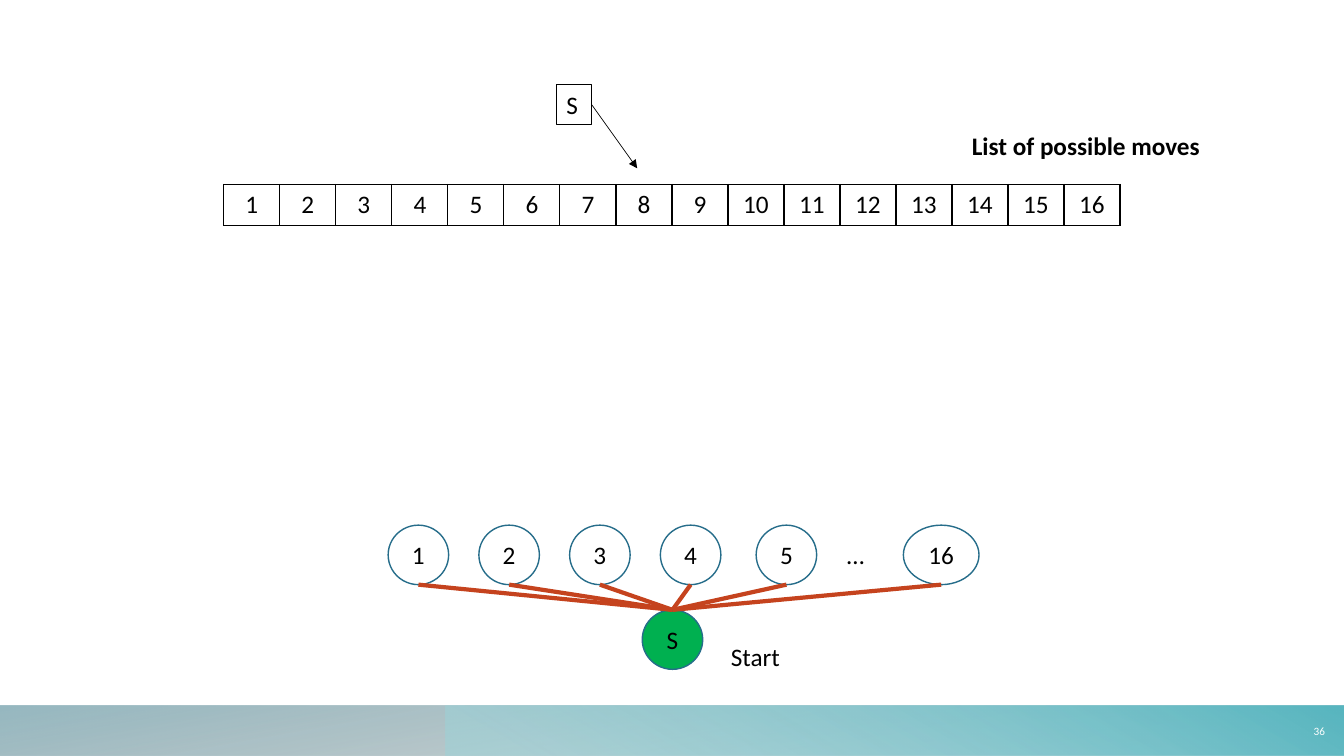
from lxml import etree
from pptx import Presentation
from pptx.dml.color import RGBColor
from pptx.enum.shapes import MSO_CONNECTOR, MSO_SHAPE
from pptx.enum.text import MSO_ANCHOR, MSO_AUTO_SIZE, PP_ALIGN
from pptx.oxml.ns import qn
from pptx.util import Inches, Pt

STRAIGHT = MSO_CONNECTOR.STRAIGHT
RECTANGLE, OVAL = MSO_SHAPE.RECTANGLE, MSO_SHAPE.OVAL
MIDDLE, TOP = MSO_ANCHOR.MIDDLE, MSO_ANCHOR.TOP
LEFT, CENTER, RIGHT = PP_ALIGN.LEFT, PP_ALIGN.CENTER, PP_ALIGN.RIGHT
FIT_SHAPE = MSO_AUTO_SIZE.SHAPE_TO_FIT_TEXT

BLACK = RGBColor(0x00, 0x00, 0x00)
WHITE = RGBColor(0xFF, 0xFF, 0xFF)
GREEN = RGBColor(0x00, 0xB0, 0x50)
OUTLINE = RGBColor(0x26, 0x6D, 0x8A)
BRANCH = RGBColor(0xC5, 0x43, 0x1E)
GREY = RGBColor(0x7A, 0x8C, 0x8E)
DUSTY_BLUE = RGBColor(0x84, 0xAC, 0xB6)
PALE_TEAL = RGBColor(0x9B, 0xD3, 0xD9)
TEAL = RGBColor(0x58, 0xB6, 0xC0)
FONT = "Calibri"

FOOTER_BANDS = [
    (0, 13.33, 180, 100, [(0.14, GREY, 28), (1, DUSTY_BLUE, 85)]),
    (4.42, 8.92, 0, 240, [(0.09, PALE_TEAL, 55), (0.99, TEAL, 100)]),
]
MOVES = [str(number) for number in range(1, 17)]
TREE_NODES = [("1", 3.85, 0.6), ("2", 4.75, 0.6), ("3", 5.65, 0.6),
              ("4", 6.55, 0.6), ("5", 7.5, 0.6), ("16", 8.96, 0.75)]
LABELS = [
    ("…", 8.3, 5.3, 0.45, False),
    ("Start", 7.15, 6.31, 0.72, False),
    ("List of possible moves", 9.54, 1.24, 2.71, True),
]
NODE_TOP, NODE_HEIGHT = 5.21, 0.59
START_LEFT, START_TOP = 6.37, 6.05
TABLE_LEFT, TABLE_TOP, TABLE_WIDTH, TABLE_HEIGHT = 2.22, 1.83, 8.89, 0.41

presentation = Presentation()
presentation.slide_width, presentation.slide_height = Inches(13.33), Inches(7.5)
slide = presentation.slides.add_slide(presentation.slide_layouts[6])
shapes = slide.shapes


def write(frame, text, align, size=18, color=BLACK, bold=False):
    paragraph = frame.paragraphs[0]
    paragraph.alignment = align
    run = paragraph.add_run()
    run.text = text
    run.font.name, run.font.size, run.font.bold = FONT, Pt(size), bold
    run.font.color.rgb = color


def add_shape(kind, left, top, width, height):
    shape = shapes.add_shape(kind, Inches(left), Inches(top), Inches(width), Inches(height))
    shape.shadow.inherit = False
    return shape


def add_band(left, width, rotation, angle, stops):
    band = add_shape(RECTANGLE, left, 7, width, 0.5)
    band.line.fill.background()
    band.rotation = rotation
    band._element.spPr.find(qn("a:xfrm")).set("flipH", "1")
    band.fill.gradient()
    band.fill.gradient_angle = 360 - angle
    for stop, (position, color, opacity) in zip(band.fill.gradient_stops, stops):
        stop.position = position
        stop.color.rgb = color
    stop_colors = band._element.spPr.iter(qn("a:srgbClr"))
    for stop_color, (_, _, opacity) in zip(list(stop_colors), stops):
        etree.SubElement(stop_color, qn("a:alpha")).set("val", str(opacity * 1000))


def add_node(text, left, top, width, color):
    node = add_shape(OVAL, left, top, width, NODE_HEIGHT)
    node.fill.solid()
    node.fill.fore_color.rgb = color
    node.line.color.rgb, node.line.width = OUTLINE, Pt(1)
    frame = node.text_frame
    frame.margin_left = frame.margin_right = 0
    frame.vertical_anchor = MIDDLE
    write(frame, text, CENTER)
    return node


def add_line(x1, y1, x2, y2, color, width):
    line = shapes.add_connector(STRAIGHT, Inches(x1), Inches(y1), Inches(x2), Inches(y2))
    line.line.color.rgb, line.line.width = color, Pt(width)
    return line


def drop_shadow(line):
    etree.SubElement(line._element.spPr, qn("a:effectLst"))


def fit_to_text(frame):
    frame.word_wrap = False
    frame.auto_size = FIT_SHAPE
    frame.vertical_anchor = TOP


def add_border(cell):
    properties = cell._tc.get_or_add_tcPr()
    for side in ("a:lnL", "a:lnR", "a:lnT", "a:lnB"):
        edge = etree.SubElement(properties, qn(side), w=str(Pt(1)))
        paint = etree.SubElement(edge, qn("a:solidFill"))
        etree.SubElement(paint, qn("a:srgbClr"), val=str(BLACK))


for band_values in FOOTER_BANDS:
    add_band(*band_values)

page_number = shapes.add_textbox(Inches(12.76), Inches(7.01), Inches(0.48), Inches(0.49))
page_number.text_frame.word_wrap = True
page_number.text_frame.vertical_anchor = MIDDLE
write(page_number.text_frame, "36", RIGHT, 8, WHITE)
page_number.text_frame.paragraphs[0].space_after = Pt(6)

start = add_node("S", START_LEFT, START_TOP, 0.6, GREEN)
for text, left, width in TREE_NODES:
    add_node(text, left, NODE_TOP, width, WHITE)
for text, left, width in TREE_NODES:
    branch = add_line(left + width / 2, NODE_TOP + NODE_HEIGHT,
                      START_LEFT + 0.3, START_TOP, BRANCH, 3)
    branch.end_connect(start, 0)
    drop_shadow(branch)

for text, left, top, width, bold in LABELS:
    label = shapes.add_textbox(Inches(left), Inches(top), Inches(width), Inches(0.4))
    fit_to_text(label.text_frame)
    write(label.text_frame, text, LEFT, bold=bold)

move_list = shapes.add_table(1, len(MOVES), Inches(TABLE_LEFT), Inches(TABLE_TOP),
                             Inches(TABLE_WIDTH), Inches(TABLE_HEIGHT)).table
move_list.first_row = move_list.horz_banding = False
for column, move in enumerate(MOVES):
    move_list.columns[column].width = Inches(TABLE_WIDTH / len(MOVES))
    cell = move_list.cell(0, column)
    add_border(cell)
    cell.fill.background()
    write(cell.text_frame, move, CENTER)

current = add_shape(RECTANGLE, 5.52, 0.84, 0.35, 0.4)
current.fill.background()
current.line.color.rgb, current.line.width = BLACK, Pt(0.75)
fit_to_text(current.text_frame)
write(current.text_frame, "S", LEFT)

pointer = add_line(5.87, 1.04, 6.32, 1.67, BLACK, 0.5)
pointer.begin_connect(current, 3)
etree.SubElement(pointer.line._get_or_add_ln(), qn("a:tailEnd"), type="triangle")
drop_shadow(pointer)

presentation.save("out.pptx")
